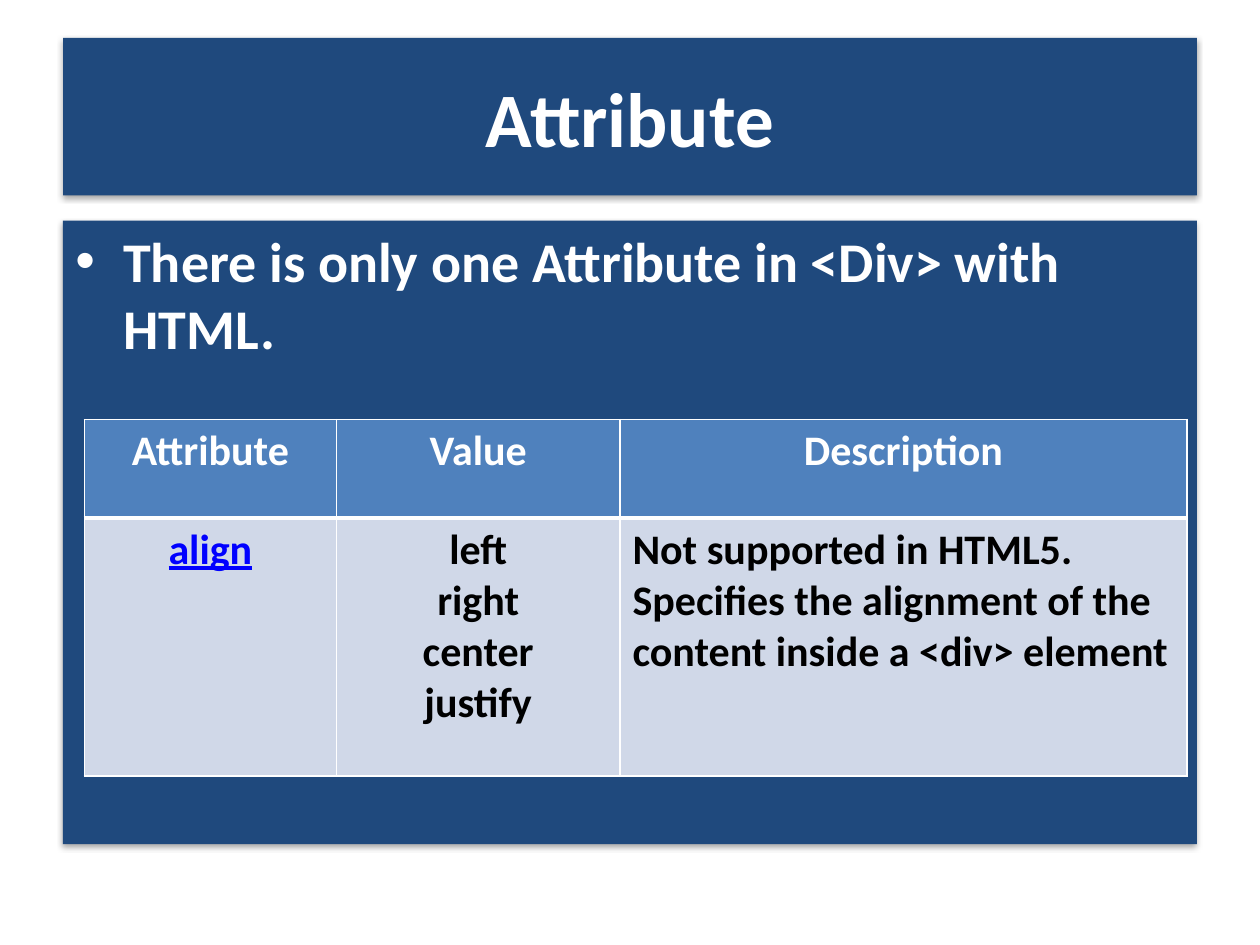
from lxml.etree import SubElement
from pptx import Presentation
from pptx.dml.color import RGBColor
from pptx.enum.shapes import MSO_SHAPE as Shape
from pptx.enum.text import MSO_ANCHOR as Anchor, PP_ALIGN as Align
from pptx.oxml import parse_xml
from pptx.oxml.ns import nsdecls, qn
from pptx.util import Inches, Pt

NAVY = RGBColor(0x1F, 0x49, 0x7D)
BLUE = RGBColor(0x4F, 0x81, 0xBD)
PALE = RGBColor(0xD0, 0xD8, 0xE8)
LINK = RGBColor(0x00, 0x00, 0xFF)
WHITE = RGBColor(0xFF, 0xFF, 0xFF)
BLACK = RGBColor(0x00, 0x00, 0x00)
COLUMN, ROW = Inches(0.5), Inches(0.25)  # grid of 20 columns by 30 rows


def write(frame, text, size=24, color=WHITE, align=Align.CENTER,
          anchor=Anchor.TOP, underline=None, font="Calibri"):
    """Put bold text into a frame and return its paragraph."""
    frame.word_wrap = True
    frame.vertical_anchor = anchor
    para = frame.paragraphs[0]
    para.text = text
    para.alignment = align
    for span in para.runs:
        span.font.name = font
        span.font.size = Pt(size)
        span.font.bold = True
        span.font.underline = underline
        span.font.color.rgb = color
    return para


def add_bullet(para, indent):
    """Give a paragraph a round bullet with a hanging indent."""
    props = para._p.get_or_add_pPr()
    props.set("marL", str(indent))
    props.set("indent", str(-indent))
    SubElement(props, qn("a:buFont"), typeface="Arial")
    SubElement(props, qn("a:buChar"), char="•")


def add_borders(cell, bottom=1, top=1):
    """Draw white borders round a cell, widths in points."""
    props = cell._tc.get_or_add_tcPr()
    for index, (side, width) in enumerate(
            [("L", 1), ("R", 1), ("T", top), ("B", bottom)]):
        props.insert(index, parse_xml(
            f'<a:ln{side} {nsdecls("a")} w="{Pt(width)}"><a:solidFill>'
            f'<a:srgbClr val="{WHITE}"/></a:solidFill></a:ln{side}>'))


class SlideBuilder:
    """Holds the panel style and the current slide."""

    def __init__(self, deck, panel_fill=NAVY):
        """Start a title-only slide."""
        self.page = deck.slides.add_slide(deck.slide_layouts[5])
        self.panel_fill = panel_fill

    def style_panel(self, box):
        """Fill a box and give it a soft shadow below."""
        box.fill.solid()
        box.fill.fore_color.rgb = self.panel_fill
        box.line.fill.background()
        box.shadow.inherit = False
        effects = box._element.spPr.find(qn("a:effectLst"))
        effects.append(parse_xml(
            f'<a:outerShdw {nsdecls("a")} blurRad="{Pt(3.1)}" dist="{Pt(1.8)}" '
            'dir="5400000" rotWithShape="0"><a:srgbClr val="000000">'
            '<a:alpha val="35000"/></a:srgbClr></a:outerShdw>'))

    def title(self, text, left, top, width, height):
        """Place the title placeholder as a panel."""
        box = self.page.shapes.title
        box.left, box.top = int(left * COLUMN), int(top * ROW)
        box.width, box.height = int(width * COLUMN), int(height * ROW)
        self.style_panel(box)
        write(box.text_frame, text, size=44, anchor=Anchor.MIDDLE)

    def bullet_panel(self, text, left, top, width, height):
        """Add a panel with one bullet."""
        box = self.page.shapes.add_shape(
            Shape.RECTANGLE, int(left * COLUMN), int(top * ROW),
            int(width * COLUMN), int(height * ROW))
        self.style_panel(box)
        para = write(box.text_frame, text, size=32, align=Align.LEFT)
        para.space_before = Pt(6.4)
        add_bullet(para, Inches(0.38))

    def table(self, header, body, left, top, widths, heights):
        """Add a table with a header row and one body row of (text, format)."""
        table = self.page.shapes.add_table(
            2, len(widths), int(left * COLUMN), int(top * ROW),
            int(sum(widths) * COLUMN), int(sum(heights) * ROW)).table
        for column, width in zip(table.columns, widths):
            column.width = int(width * COLUMN)
        for row, height in zip(table.rows, heights):
            row.height = int(height * ROW)
        rows = [([(text, {}) for text in header], BLUE, 1, 3), (body, PALE, 3, 1)]
        for row, (entries, fill, above, below) in zip(table.rows, rows):
            for cell, (text, style) in zip(row.cells, entries):
                cell.fill.solid()
                cell.fill.fore_color.rgb = fill
                add_borders(cell, bottom=below, top=above)
                write(cell.text_frame, text, **style)


def main():
    """Build the slide and save it."""
    deck = Presentation()
    deck.slide_width, deck.slide_height = 20 * COLUMN, 30 * ROW
    slide = SlideBuilder(deck)
    slide.title("Attribute", 1, 1.2, 18, 5)
    slide.bullet_panel("There is only one Attribute in <Div> with HTML.",
                       1, 7, 18, 19.8)
    slide.table(
        ["Attribute", "Value", "Description"],
        [("align", dict(color=LINK, underline=True)),
         ("left\nright\ncenter\njustify", dict(color=BLACK)),
         ("Not supported in HTML5.\nSpecifies the alignment of the content "
          "inside a <div> element", dict(color=BLACK, align=Align.LEFT))],
        1.34, 13.32, widths=[4, 4.5, 9], heights=[3.12, 8.2])
    deck.save("out.pptx")


main()
